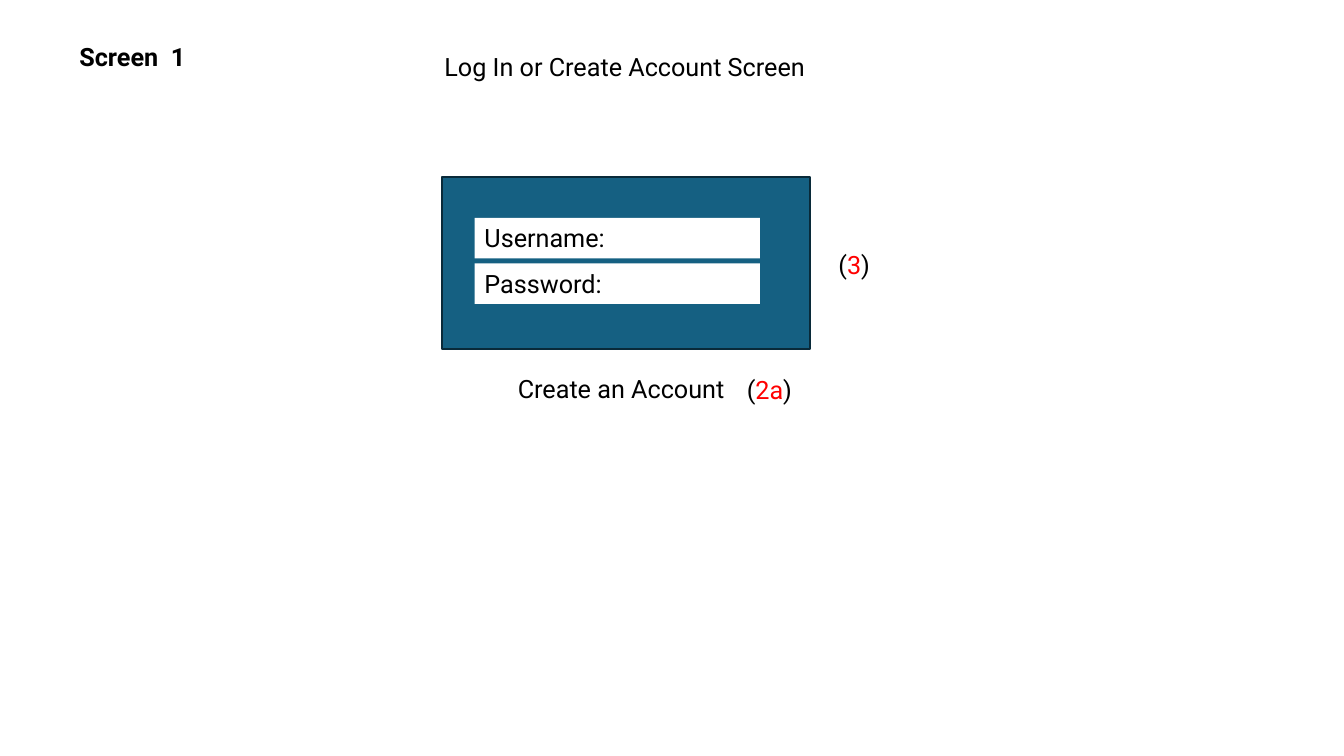
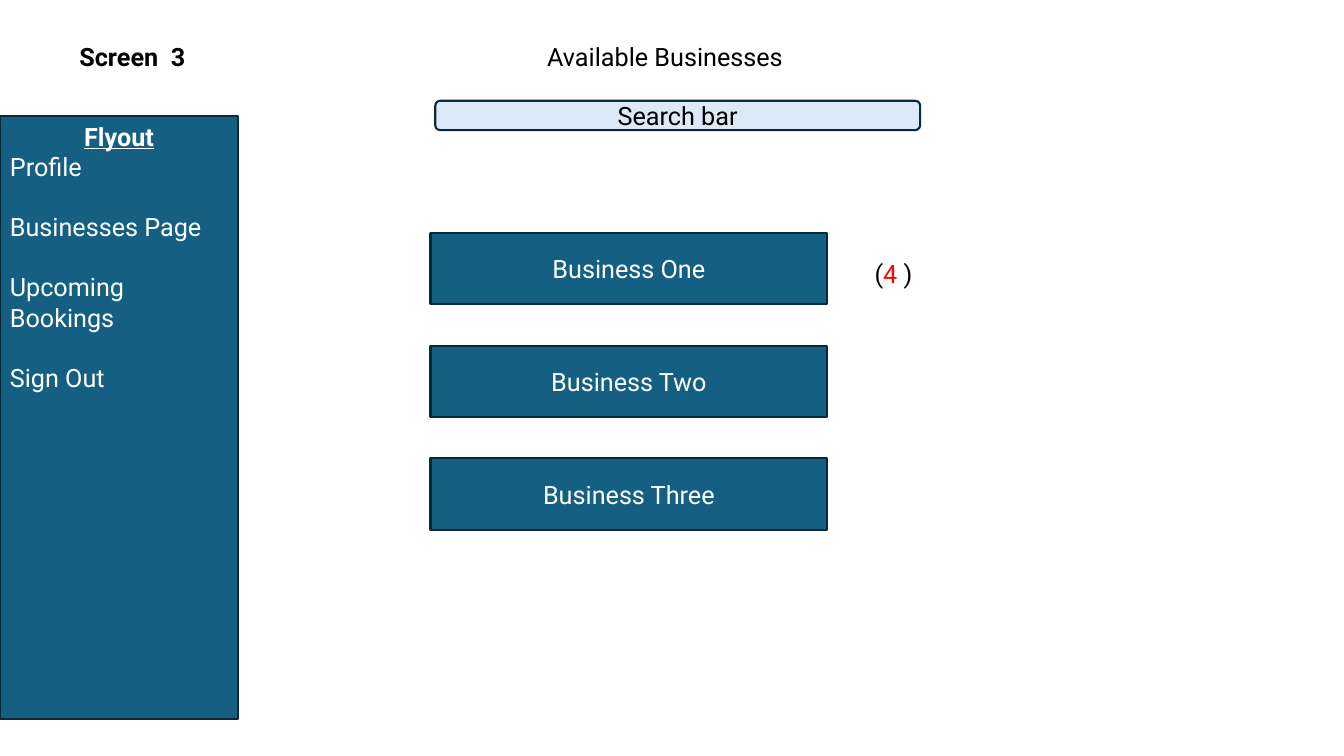
"""Builds two app wireframe slides: the log-in screen and the business list."""
from pptx import Presentation
from pptx.dml.color import RGBColor
from pptx.enum.shapes import MSO_SHAPE as Shape
from pptx.enum.text import MSO_ANCHOR as Anchor, PP_ALIGN as Align
from pptx.util import Cm, Pt

BLACK = RGBColor(0x00, 0x00, 0x00)
WHITE = RGBColor(0xFF, 0xFF, 0xFF)
RED = RGBColor(0xFF, 0x00, 0x00)
TEAL = RGBColor(0x15, 0x60, 0x82)
NAVY = RGBColor(0x09, 0x2A, 0x39)
PALE_BLUE = RGBColor(0xDC, 0xEA, 0xF7)

FONT = "Roboto"
FONT_SIZE = Pt(18)
LABEL_HEIGHT = 1.02

FIELDS = ["Username:", "Password:"]
BUSINESSES = ["Business One", "Business Two", "Business Three"]
FLYOUT_TITLE = "Flyout"
FLYOUT_ITEMS = ["Profile", "Businesses Page", "Upcoming Bookings", "Sign Out"]
FLYOUT_GAP = Pt(21.5)


def style_paragraph(paragraph, color, align=Align.LEFT, bold=False):
    paragraph.alignment = align
    font = paragraph.font
    font.name, font.size, font.bold = FONT, FONT_SIZE, bold
    font.color.rgb = color


def add_label(slide, left, top, width, text="", bold=False, fill=None):
    label = slide.shapes.add_textbox(Cm(left), Cm(top), Cm(width), Cm(LABEL_HEIGHT))
    if fill is not None:
        label.fill.solid()
        label.fill.fore_color.rgb = fill
    label.text_frame.word_wrap = True
    paragraph = label.text_frame.paragraphs[0]
    paragraph.text = text
    style_paragraph(paragraph, BLACK, bold=bold)
    return paragraph


def add_target(slide, left, top, width, screen):
    paragraph = add_label(slide, left, top, width)
    for text, color in (("(", BLACK), (screen, RED), (")", BLACK)):
        run = paragraph.add_run()
        run.text = text
        run.font.color.rgb = color


def add_panel(slide, left, top, width, height, text="", color=WHITE,
              fill=TEAL, kind=Shape.RECTANGLE):
    panel = slide.shapes.add_shape(kind, Cm(left), Cm(top), Cm(width), Cm(height))
    panel.shadow.inherit = False
    panel.fill.solid()
    panel.fill.fore_color.rgb = fill
    panel.line.color.rgb = NAVY
    panel.line.width = Pt(1.5)
    frame = panel.text_frame
    frame.word_wrap = True
    frame.vertical_anchor = Anchor.MIDDLE
    frame.text = text
    style_paragraph(frame.paragraphs[0], color, Align.CENTER)
    return frame


def add_screen(presentation, number):
    slide = presentation.slides.add_slide(presentation.slide_layouts[6])
    add_label(slide, 1.75, 0.91, 4.45, f"Screen  {number}", bold=True)
    return slide


def add_flyout(slide):
    frame = add_panel(slide, 0, 2.92, 6, 15.19, FLYOUT_TITLE)
    frame.vertical_anchor = Anchor.TOP
    title = frame.paragraphs[0]
    title.font.bold = title.font.underline = True
    for index, item in enumerate(FLYOUT_ITEMS):
        paragraph = frame.add_paragraph()
        paragraph.text = item
        style_paragraph(paragraph, WHITE)
        paragraph.space_before = FLYOUT_GAP if index else Pt(0)


def build_login(presentation):
    slide = add_screen(presentation, 1)
    add_label(slide, 10.95, 1.17, 10.8, "Log In or Create Account Screen")
    add_panel(slide, 11.15, 4.47, 9.27, 4.32)
    for index, field in enumerate(FIELDS):
        add_label(slide, 11.96, 5.49 + index * 1.15, 7.19, field, fill=WHITE)
    add_label(slide, 12.8, 9.27, 6, "Create an Account")
    add_target(slide, 20.88, 6.17, 2.39, "3")
    add_target(slide, 18.57, 9.3, 1.68, "2a")


def build_businesses(presentation):
    slide = add_screen(presentation, 3)
    add_label(slide, 13.54, 0.91, 6.76, "Available Businesses")
    add_panel(slide, 10.97, 2.54, 12.22, 0.74, "Search bar", BLACK,
              PALE_BLUE, Shape.ROUNDED_RECTANGLE)
    for index, business in enumerate(BUSINESSES):
        add_panel(slide, 10.85, 5.87 + index * 2.84, 10, 1.8, business)
    add_target(slide, 21.79, 6.38, 2.13, "4 ")
    add_flyout(slide)


def main():
    presentation = Presentation()
    presentation.slide_width, presentation.slide_height = Cm(33.87), Cm(19.05)
    build_login(presentation)
    build_businesses(presentation)
    presentation.save("out.pptx")


if __name__ == "__main__":
    main()
